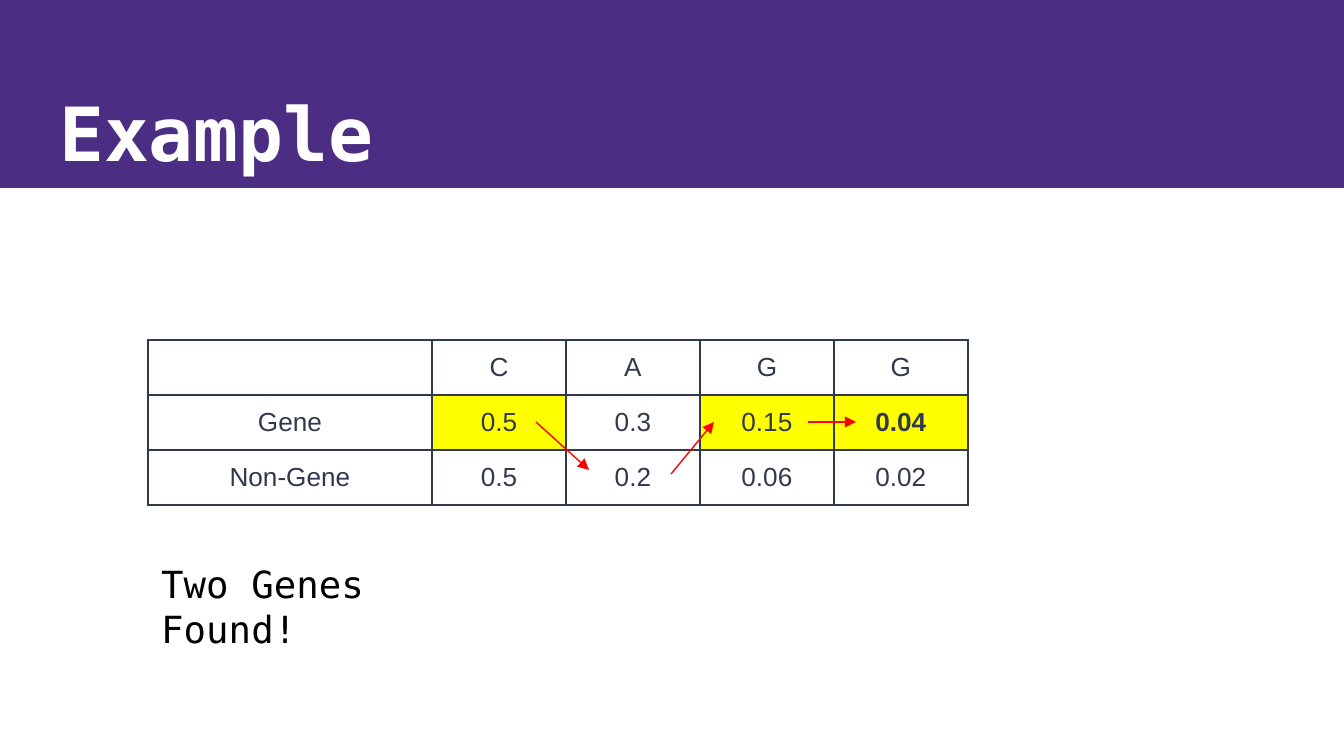
from lxml.etree import SubElement as Sub
from pptx import Presentation
from pptx.dml.color import RGBColor
from pptx.enum.shapes import MSO_CONNECTOR as Link, MSO_SHAPE as Shape
from pptx.enum.text import MSO_ANCHOR as Anchor, PP_ALIGN as Align
from pptx.oxml.ns import qn
from pptx.util import Pt

SCALE = 9144000 / 1344
MONO = "DejaVu Sans Mono"
SANS = "Arial"
PURPLE, WHITE, BLACK = "4B2E83", "FFFFFF", "000000"
SLATE, YELLOW, RED = "31394D", "FFFF00", "FF0000"


def px(n):
    return round(n * SCALE)


def color(code):
    return RGBColor.from_string(code)


class Deck:
    def __init__(self, wide, high):
        self.prs = Presentation()
        self.prs.slide_width, self.prs.slide_height = px(wide), px(high)
        self.slide = self.prs.slides.add_slide(self.prs.slide_layouts[6])
        self.shapes = self.slide.shapes

    def style(self, para, font, size, code, bold=False):
        for run in para.runs:
            run.font.name, run.font.size, run.font.bold = font, Pt(size), bold
            run.font.color.rgb = color(code)

    def band(self, box, code):
        rect = self.shapes.add_shape(Shape.RECTANGLE, *map(px, box))
        rect.shadow.inherit = False
        rect.fill.solid()
        rect.fill.fore_color.rgb = color(code)
        rect.line.fill.background()

    def text(self, box, words, size, code, bold=False, inset=7):
        frame = self.shapes.add_textbox(*map(px, box)).text_frame
        frame.word_wrap = True
        frame.margin_top = frame.margin_bottom = px(inset)
        frame.text = words
        self.style(frame.paragraphs[0], MONO, size, code, bold)

    def border(self, cell):
        props = cell._tc.get_or_add_tcPr()
        for i, side in enumerate(("a:lnL", "a:lnR", "a:lnT", "a:lnB")):
            line = props.makeelement(qn(side), {"w": str(Pt(1))})
            fill = Sub(line, qn("a:solidFill"))
            Sub(fill, qn("a:srgbClr"), val=SLATE)
            props.insert(i, line)

    def table(self, left, top, cols, high, rows, marks, bold):
        box = (left, top, sum(cols), high * len(rows))
        grid = self.shapes.add_table(len(rows), len(cols), *map(px, box)).table
        for col, wide in zip(grid.columns, cols):
            col.width = px(wide)
        for r, row in enumerate(rows):
            grid.rows[r].height = px(high)
            for c, words in enumerate(row):
                cell = grid.cell(r, c)
                cell.text = words
                cell.vertical_anchor = Anchor.MIDDLE
                para = cell.text_frame.paragraphs[0]
                para.alignment = Align.CENTER
                self.style(para, SANS, 14, SLATE, (r, c) == bold)
                cell.fill.solid()
                cell.fill.fore_color.rgb = color(YELLOW if (r, c) in marks else WHITE)
                self.border(cell)

    def arrow(self, *ends):
        line = self.shapes.add_connector(Link.STRAIGHT, *map(px, ends))
        line.line.color.rgb = color(RED)
        line.line.width = Pt(0.75)
        Sub(line.line._get_or_add_ln(), qn("a:tailEnd"), type="triangle")
        Sub(line._element.spPr, qn("a:effectLst"))


deck = Deck(1344, 756)
deck.band((0, 0, 1344, 188), PURPLE)
deck.text((46, 74, 1253, 91), "Example", 40, WHITE, bold=True, inset=13)
deck.table(
    148, 340, [284] + [134] * 4, 55,
    [
        ["", "C", "A", "G", "G"],
        ["Gene", "0.5", "0.3", "0.15", "0.04"],
        ["Non-Gene", "0.5", "0.2", "0.06", "0.02"],
    ],
    marks={(1, 1), (1, 3), (1, 4)},
    bold=(1, 4),
)
for ends in [(536, 422, 589, 470), (671, 474, 714, 422), (808, 422, 856, 422)]:
    deck.arrow(*ends)
deck.text((148, 554, 306, 78), "Two Genes Found!", 20, BLACK)
deck.prs.save("out.pptx")
